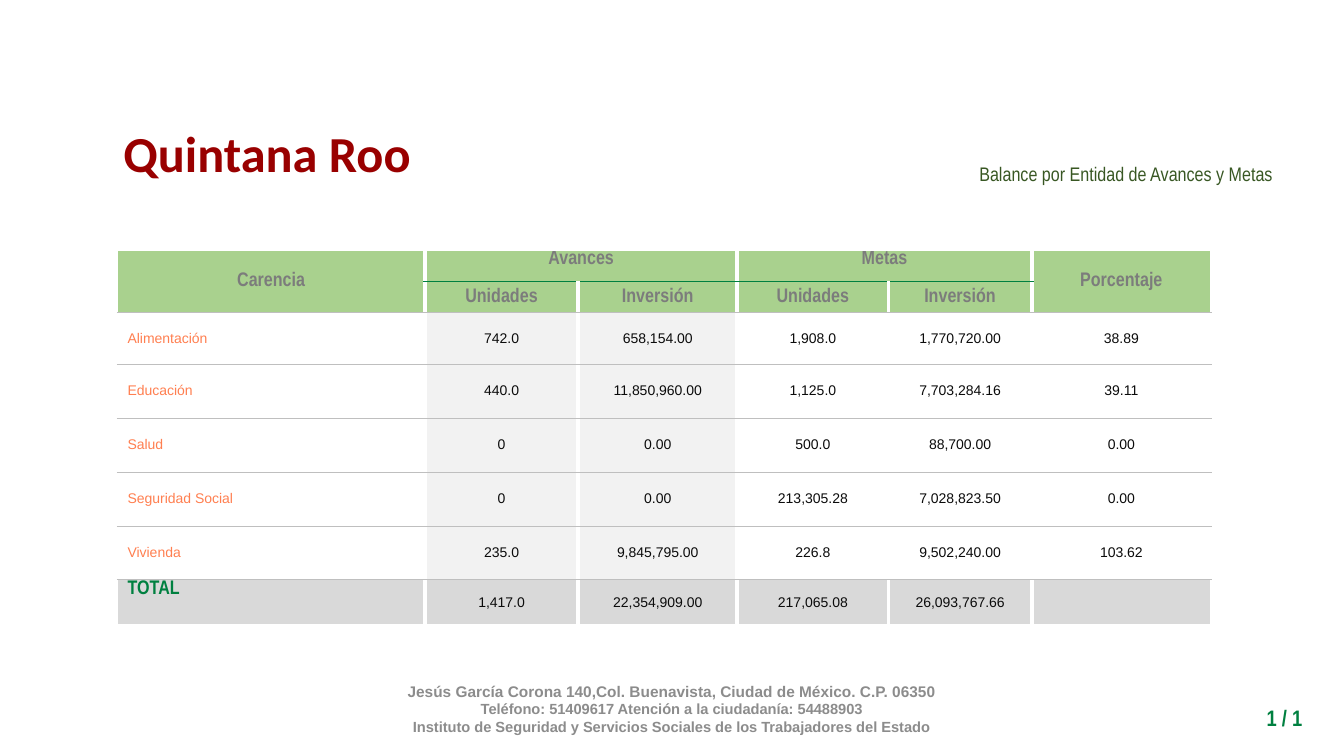
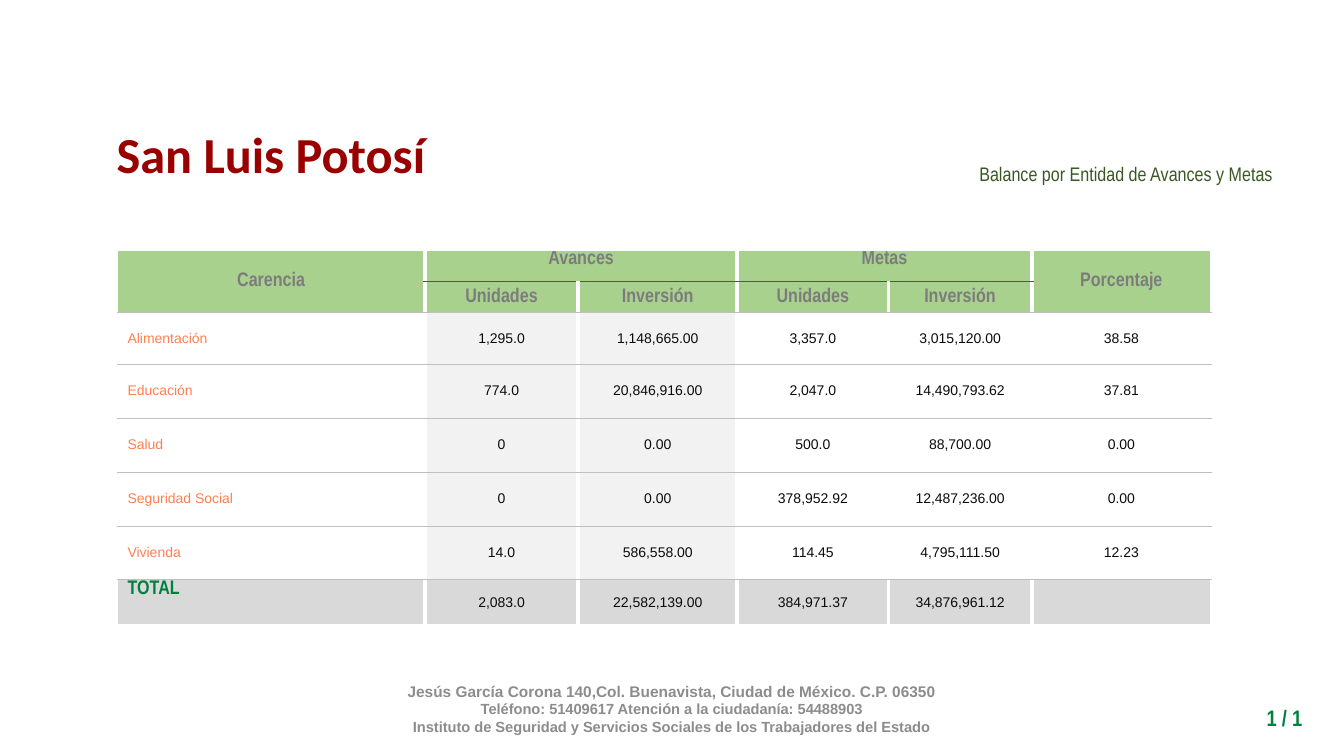
import pptx
import pptx.util
import pptx.dml.color
import pptx.enum.text
import pptx.oxml
import pptx.oxml.ns
import lxml.etree

Cm = pptx.util.Cm
Pt = pptx.util.Pt
ALIGN = pptx.enum.text.PP_ALIGN
ANCHOR = pptx.enum.text.MSO_ANCHOR
FIT = pptx.enum.text.MSO_AUTO_SIZE

HUES = {
    "title": "990000", "note": "385723", "green": "008040", "foot": "8C8C8C",
    "head": "7C7C7C", "label": "FF7F50", "ink": "0B0B0B", "white": "FFFFFF",
    "band": "A9D18E", "pale": "F2F2F2", "sum": "D9D9D9", "rule": "BFBFBF",
}


def face(name, size, hue, bold=False):
    return {"name": name, "size": Pt(size), "bold": bold, "hue": hue}


FACES = {
    "title": face("Calibri", 36, "title", True),
    "note": face("Arial Narrow", 14, "note"),
    "page": face("Arial Narrow", 16, "green", True),
    "lead": face("Arial", 11, "foot", True),
    "foot": face("Arial", 10.5, "foot", True),
    "head": face("Arial Narrow", 14, "head", True),
    "label": face("Arial", 10, "label"),
    "value": face("Arial", 10, "ink"),
    "total": face("Arial Narrow", 14, "green", True),
}

FOOT = [
    ("Jesús García Corona 140,Col. Buenavista, Ciudad de México. C.P. 06350", "lead"),
    ("Teléfono: 51409617 Atención a la ciudadanía: 54488903", "foot"),
    ("Instituto de Seguridad y Servicios Sociales de los Trabajadores del Estado", "foot"),
]

HEAD = [
    ["Carencia", "Avances", "", "Metas", "", "Porcentaje"],
    ["", "Unidades", "Inversión", "Unidades", "Inversión", ""],
]
SPANS = [(0, 0, 1, 0), (0, 1, 0, 2), (0, 3, 0, 4), (0, 5, 1, 5)]
COLS = [7.75, 3.86, 4.01, 3.81, 3.61, 4.52]
ROWS = [0.79, 0.79, 1.3, 1.35, 1.36, 1.36, 1.36, 1.16]
LAST = len(ROWS) - 1

# Each state: name, title left, top and width, then the table rows.
STATES = [
    ("Quintana Roo", 2.82, 2.95, 7.82, [
        ["Alimentación", "742.0", "658,154.00", "1,908.0", "1,770,720.00", "38.89"],
        ["Educación", "440.0", "11,850,960.00", "1,125.0", "7,703,284.16", "39.11"],
        ["Salud", "0", "0.00", "500.0", "88,700.00", "0.00"],
        ["Seguridad Social", "0", "0.00", "213,305.28", "7,028,823.50", "0.00"],
        ["Vivienda", "235.0", "9,845,795.00", "226.8", "9,502,240.00", "103.62"],
        ["TOTAL", "1,417.0", "22,354,909.00", "217,065.08", "26,093,767.66", ""],
    ]),
    ("San Luis Potosí", 2.64, 2.97, 8.38, [
        ["Alimentación", "1,295.0", "1,148,665.00", "3,357.0", "3,015,120.00", "38.58"],
        ["Educación", "774.0", "20,846,916.00", "2,047.0", "14,490,793.62", "37.81"],
        ["Salud", "0", "0.00", "500.0", "88,700.00", "0.00"],
        ["Seguridad Social", "0", "0.00", "378,952.92", "12,487,236.00", "0.00"],
        ["Vivienda", "14.0", "586,558.00", "114.45", "4,795,111.50", "12.23"],
        ["TOTAL", "2,083.0", "22,582,139.00", "384,971.37", "34,876,961.12", ""],
    ]),
]


def tint(hue):
    return pptx.dml.color.RGBColor.from_string(HUES[hue])


def put(item, pairs):
    for key, val in pairs.items():
        setattr(item, key, val)


def write(para, text, kind, align):
    para.alignment = align
    run = para.add_run()
    run.text = text
    look = dict(FACES[kind])
    run.font.color.rgb = tint(look.pop("hue"))
    put(run.font, look)
    return run


def line(tag, hue, width):
    """Make a line element, for a cell edge or a text outline."""
    edge = pptx.oxml.parse_xml(
        f'<a:{tag} {pptx.oxml.ns.nsdecls("a")} w="{Pt(width)}">'
        f'<a:solidFill><a:srgbClr val="{HUES[hue]}"/></a:solidFill></a:{tag}>')
    return edge


def add_text(slide, place, lines, align, **frame):
    box = slide.shapes.add_textbox(*map(Cm, place))
    body = box.text_frame
    put(body, {"word_wrap": True, **frame})
    for num, (text, kind) in enumerate(lines):
        para = body.add_paragraph() if num else body.paragraphs[0]
        write(para, text, kind, align)
    return box


def add_foot(slide):
    """Place the address on the layout, so that every slide shows it."""
    box = add_text(slide, (7.32, 17.18, 19.23, 1.4), FOOT, ALIGN.CENTER,
                   margin_top=0, margin_bottom=0)
    slide.slide_layout.shapes.element.append(box.element)


def add_title(slide, name, left, top, width):
    title = slide.shapes.title
    put(title, {"left": Cm(left), "top": Cm(top),
                "width": Cm(width), "height": Cm(1.8)})
    put(title.text_frame, {"word_wrap": False, "vertical_anchor": ANCHOR.TOP,
                           "auto_size": FIT.SHAPE_TO_FIT_TEXT})
    run = write(title.text_frame.paragraphs[0], name, "title", ALIGN.CENTER)
    run.font._element.insert(0, line("ln", "white", 0.75))


def below(row, col):
    """Give the hue and width of the rule under a cell."""
    if row == LAST:
        return "white", 3
    if row == 0 and 0 < col < len(COLS) - 1:
        return "green", 0.25
    return "rule", 0.5


def add_edges(cell, row, col):
    edges = []
    if col > 0:
        edges.append(line("lnL", "white", 3))
    if col < len(COLS) - 1:
        edges.append(line("lnR", "white", 3))
    if row > 0:
        edges.append(line("lnT", *below(row - 1, col)))
    edges.append(line("lnB", *below(row, col)))
    props = cell._tc.get_or_add_tcPr()
    for num, edge in enumerate(edges):
        props.insert(num, edge)


def kind_of(row, col):
    if row < len(HEAD):
        return "head"
    if col:
        return "value"
    return "total" if row == LAST else "label"


def fill_of(row, col):
    if row < len(HEAD):
        return "band"
    if row == LAST:
        return "sum"
    return "pale" if col in (1, 2) else None


def fill_cell(cell, row, col, text):
    kind = kind_of(row, col)
    high = kind == "total" or text in ("Avances", "Metas")
    put(cell, {"margin_top": 0, "margin_bottom": 0,
               "vertical_anchor": ANCHOR.TOP if high else ANCHOR.MIDDLE})
    if col > 2 and kind == "value":
        put(cell, {"margin_left": Cm(0.03), "margin_right": Cm(0.03)})
    if text:
        align = ALIGN.LEFT if kind in ("label", "total") else ALIGN.CENTER
        write(cell.text_frame.paragraphs[0], text, kind, align)
    hue = fill_of(row, col)
    if hue:
        cell.fill.solid()
        cell.fill.fore_color.rgb = tint(hue)
    else:
        cell.fill.background()
    add_edges(cell, row, col)


def add_grid(slide, data):
    place = (2.96, 6.3, sum(COLS), sum(ROWS))
    grid = slide.shapes.add_table(len(ROWS), len(COLS), *map(Cm, place)).table
    put(grid, {"first_row": False, "horz_banding": False})
    for col, width in zip(grid.columns, COLS):
        col.width = Cm(width)
    for row, height in zip(grid.rows, ROWS):
        row.height = Cm(height)
    for top, left, bottom, right in SPANS:
        grid.cell(top, left).merge(grid.cell(bottom, right))
    for row, texts in enumerate(HEAD + data):
        for col, text in enumerate(texts):
            cell = grid.cell(row, col)
            if not cell.is_spanned:
                fill_cell(cell, row, col, text)


def add_state(deck, layout, name, left, top, width, data):
    slide = deck.slides.add_slide(layout)
    add_title(slide, name, left, top, width)
    add_grid(slide, data)
    note = add_text(slide, (16.99, 3.12, 15.34, 2.41),
                    [("Balance por Entidad de Avances y Metas", "note")],
                    ALIGN.RIGHT, vertical_anchor=ANCHOR.MIDDLE)
    note.text_frame.paragraphs[0].line_spacing = 1.15
    add_text(slide, (29.87, 17.63, 3.2, 0.94), [("1 / 1", "page")],
             ALIGN.RIGHT, auto_size=FIT.SHAPE_TO_FIT_TEXT)
    return slide


def main():
    deck = pptx.Presentation()
    put(deck, {"slide_width": Cm(33.87), "slide_height": Cm(19.05)})
    layout = deck.slide_layouts[5]
    for part in list(layout.placeholders)[1:]:
        part.element.getparent().remove(part.element)
    slides = [add_state(deck, layout, *state) for state in STATES]
    add_foot(slides[0])
    deck.save("out.pptx")


if __name__ == "__main__":
    main()
